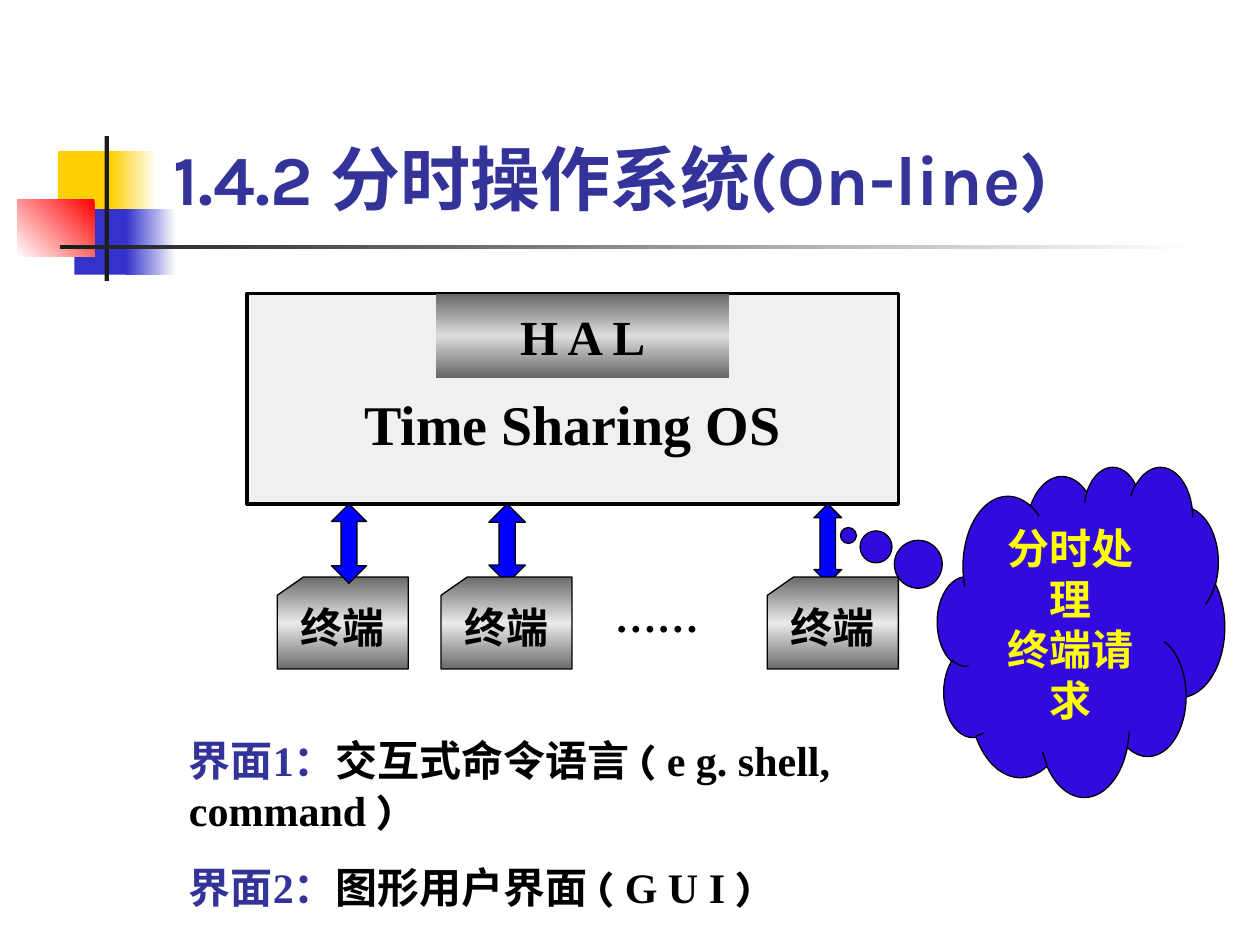
from lxml import etree
from pptx import Presentation
from pptx.dml.color import RGBColor
from pptx.enum.shapes import MSO_SHAPE
from pptx.enum.text import MSO_ANCHOR, PP_ALIGN
from pptx.oxml.ns import qn
from pptx.util import Inches, Pt

RECTANGLE = MSO_SHAPE.RECTANGLE
CARD = MSO_SHAPE.FLOWCHART_CARD
ARROW = MSO_SHAPE.UP_DOWN_ARROW
CLOUD = MSO_SHAPE.CLOUD_CALLOUT
TOP, MIDDLE, BOTTOM = MSO_ANCHOR.TOP, MSO_ANCHOR.MIDDLE, MSO_ANCHOR.BOTTOM
LEFT, CENTER = PP_ALIGN.LEFT, PP_ALIGN.CENTER

COLUMNS, ROWS = 100, 75
SERIF, SANS = "Times New Roman", "Karla"
BLACK, WHITE, NAVY, YELLOW = "000000", "FFFFFF", "333399", "FFFF00"
GOLD, BLUE, RED, CHARCOAL = "FFCF01", "3333CC", "FF0000", "1C1C1C"
NO_INSETS = (0, 0, 0, 0)
SHAPE_INSETS = (0.1, 0.05, 0.1, 0.05)


def color(value):
    return RGBColor.from_string(value)


class SlideBuilder:
    def __init__(self, presentation):
        self.slide = presentation.slides.add_slide(presentation.slide_layouts[6])
        self.column = presentation.slide_width / COLUMNS
        self.row = presentation.slide_height / ROWS

    def place(self, left, top, width, height):
        return [round(length) for length in (left * self.column, top * self.row,
                                             width * self.column, height * self.row)]

    def gradient(self, shape, stops, angle):
        shape.fill.gradient()
        shape.fill.gradient_angle = 0
        gradient = shape._element.spPr.find(qn("a:gradFill"))
        gradient.find(qn("a:lin")).set("ang", str(angle * 60000))
        stop_list = gradient.find(qn("a:gsLst"))
        for stop in list(stop_list):
            stop_list.remove(stop)
        for index, value in enumerate(stops):
            position = 100000 * index // (len(stops) - 1)
            stop = etree.SubElement(stop_list, qn("a:gs"), pos=str(position))
            etree.SubElement(stop, qn("a:srgbClr"), val=value)

    def shape(self, kind, area, fill, angle=None, line=None, weight=0.75,
              adjustments=(), opacity=None):
        shape = self.slide.shapes.add_shape(kind, *self.place(*area))
        shape.shadow.inherit = False
        for index, value in enumerate(adjustments):
            shape.adjustments[index] = value
        if angle is None:
            shape.fill.solid()
            shape.fill.fore_color.rgb = color(fill)
        else:
            self.gradient(shape, fill, angle)
        if opacity is not None:
            tint = shape._element.spPr.find(qn("a:solidFill"))[0]
            etree.SubElement(tint, qn("a:alpha"), val=str(opacity * 1000))
        if line:
            shape.line.color.rgb = color(line)
            shape.line.width = Pt(weight)
        else:
            shape.line.fill.background()
        return shape

    def frame(self, shape, anchor, insets, wrap=True):
        frame = shape.text_frame
        frame.word_wrap = wrap
        frame.vertical_anchor = anchor
        (frame.margin_left, frame.margin_top,
         frame.margin_right, frame.margin_bottom) = map(Inches, insets)
        return frame

    def label(self, shape, lines, size, text_color=BLACK, font=SERIF, anchor=MIDDLE,
              align=CENTER, insets=SHAPE_INSETS, wrap=True):
        frame = self.frame(shape, anchor, insets, wrap)
        for index, line in enumerate(lines):
            paragraph = frame.add_paragraph() if index else frame.paragraphs[0]
            paragraph.text = line
            paragraph.alignment = align
            paragraph.font.size = Pt(size)
            paragraph.font.bold = True
            paragraph.font.name = font
            paragraph.font.color.rgb = color(text_color)

    def text_box(self, area):
        return self.slide.shapes.add_textbox(*self.place(*area))

    def interfaces(self, area, entries, size):
        frame = self.frame(self.text_box(area), TOP, (0, 0, 0.5, 0))
        for index, (heading, description, example) in enumerate(entries):
            paragraph = frame.add_paragraph() if index else frame.paragraphs[0]
            paragraph.space_before = Pt(15 if index else 0)
            paragraph.font.size = Pt(size)
            paragraph.font.bold = True
            for text, font, text_color in ((heading, SERIF, NAVY), (description, SERIF, BLACK),
                                           ("( ", SANS, BLACK), (example, SERIF, BLACK),
                                           (")", SANS, BLACK)):
                run = paragraph.add_run()
                run.text = text
                run.font.name = font
                run.font.color.rgb = color(text_color)

    def ornament(self):
        self.shape(RECTANGLE, (4.6, 12, 4.8, 5.2), GOLD)
        self.shape(RECTANGLE, (8.8, 12, 3.6, 5.2), (WHITE, GOLD), 180)
        self.shape(RECTANGLE, (5.9, 16.6, 4.6, 5.2), BLUE)
        self.shape(RECTANGLE, (10, 16.6, 4, 5.2), (WHITE, BLUE), 180)
        self.shape(RECTANGLE, (1.4, 15.8, 6.1, 4.6), (RED, WHITE), 135)
        self.shape(RECTANGLE, (8.3, 10.8, 0.35, 11.5), CHARCOAL)
        self.shape(RECTANGLE, (4.8, 19.45, 90, 0.35), (WHITE, CHARCOAL), 180)

    def terminal(self, left):
        card = self.shape(CARD, (left, 45.8, 10.4, 7.3),
                          ("6B6B6B", "EAEAEA", "6B6B6B"), 90, BLACK)
        self.label(card, ["终端"], 24, insets=(0.1, 0.05, 0.1, 0.13))

    def link(self, left, width, head):
        self.shape(ARROW, (left, 40, width, 6.3), "0000FF", line=BLACK,
                   adjustments=(0.5, head))


def main():
    presentation = Presentation()
    presentation.slide_width = Inches(10)
    presentation.slide_height = Inches(7.5)
    builder = SlideBuilder(presentation)

    builder.ornament()
    builder.interfaces((15, 58.3, 70, 14.1), (
        ("界面1：", "交互式命令语言 ", "e g. shell, command "),
        ("界面2：", "图形用户界面 ", "G U I "),
    ), 24)
    builder.label(builder.text_box((13.8, 10.7, 78.4, 6.7)), ["1.4.2 分时操作系统(On-line)"],
                  40, NAVY, SANS, BOTTOM, LEFT, NO_INSETS)

    cloud = builder.shape(CLOUD, (74.4, 37, 22.8, 26.2), "320ADE", line=BLACK,
                          adjustments=(-0.81, -0.29))
    builder.label(cloud, ["分时处理", "终端请求"], 24, YELLOW)

    system = builder.shape(RECTANGLE, (19.6, 23.3, 51.7, 16.7), "EAEAEA",
                           line=BLACK, weight=2, opacity=70)
    builder.label(system, ["Time Sharing OS"], 32, insets=(0.1, 0.43, 0.1, 0.05), wrap=False)
    hardware = builder.shape(RECTANGLE, (34.6, 23.3, 23.3, 6.7),
                             ("656565", "DDDDDD", "656565"), 90)
    builder.label(hardware, ["H A L"], 28, wrap=False)

    builder.terminal(22)
    for left, width, head in ((38.8, 2.9, 0.44), (26.3, 2.8, 0.45), (64.6, 2.2, 0.56)):
        builder.link(left, width, head)
    ellipsis = builder.shape(RECTANGLE, (48.8, 46.9, 7.5, 4), WHITE, line=WHITE)
    builder.label(ellipsis, ["……"], 24, anchor=TOP, align=LEFT, insets=NO_INSETS)
    for left in (35, 60.9):
        builder.terminal(left)

    presentation.save("out.pptx")


if __name__ == "__main__":
    main()
